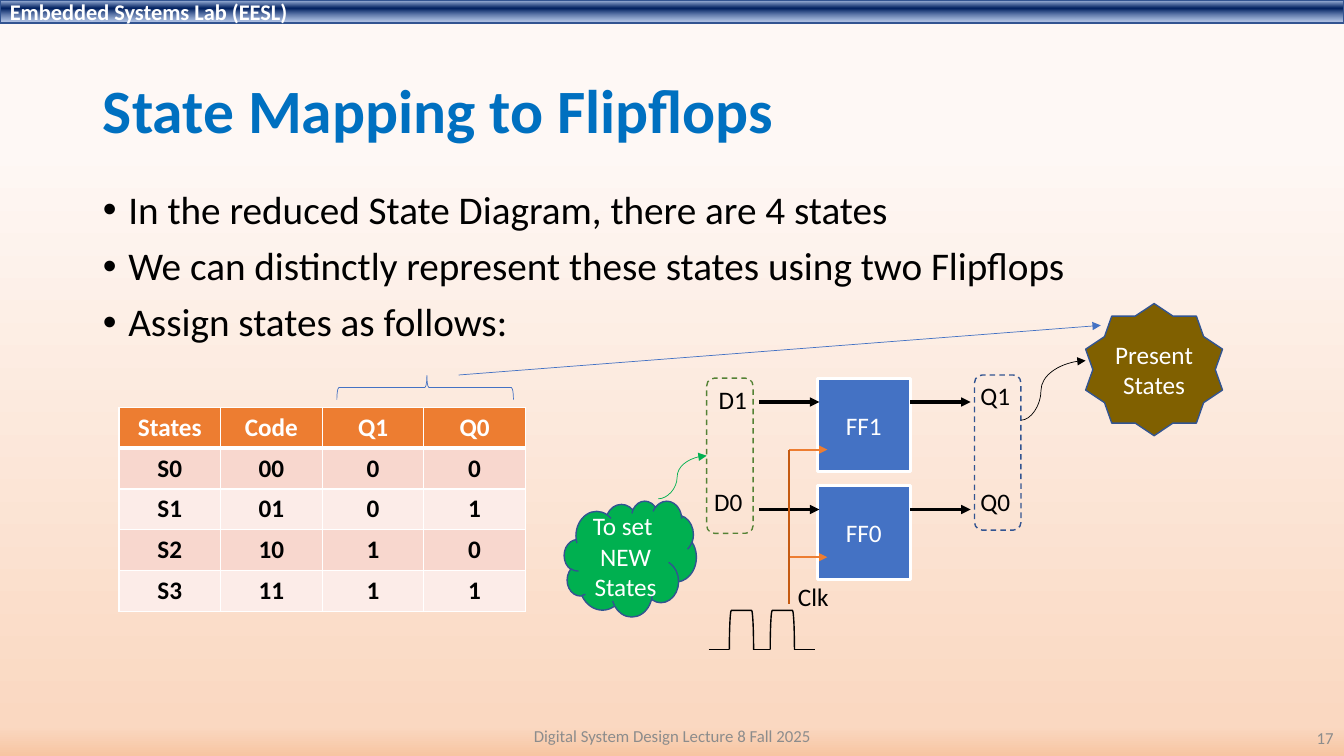
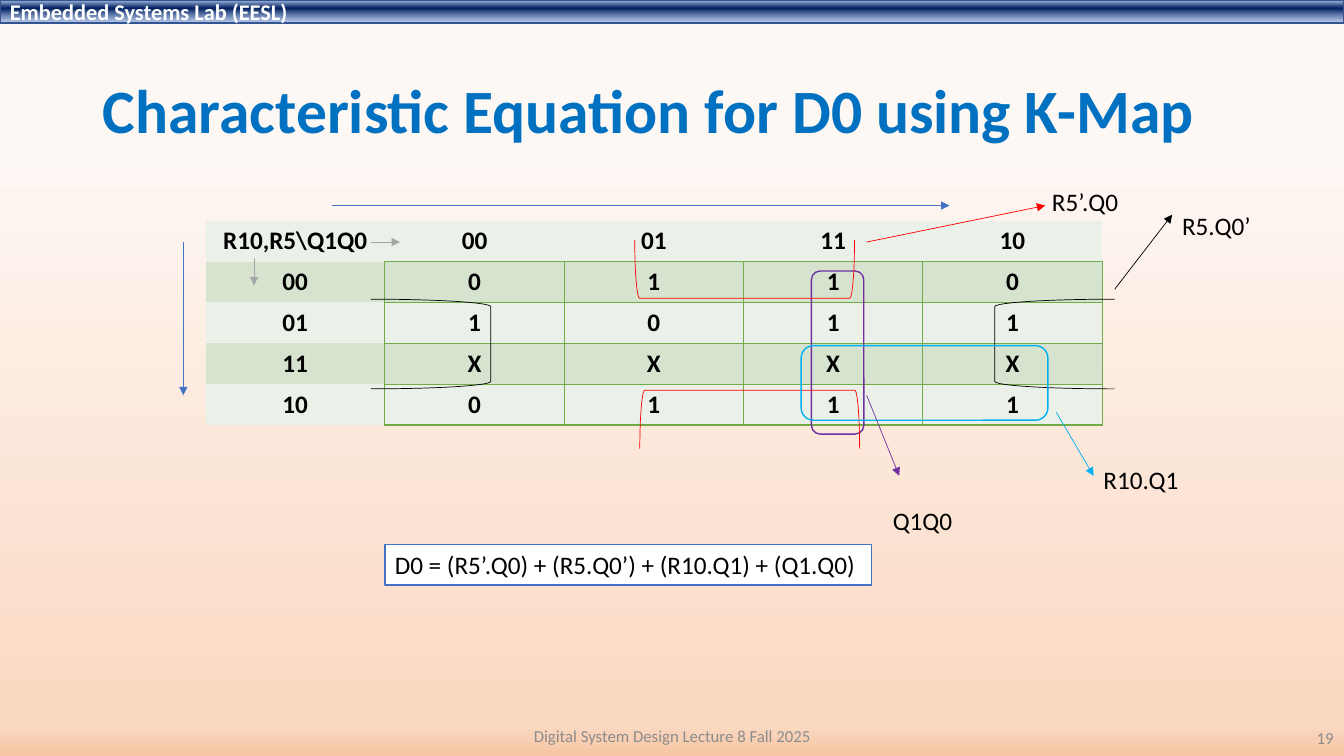
from lxml.etree import SubElement
from pptx import Presentation
from pptx.dml.color import RGBColor
from pptx.enum.dml import MSO_LINE
from pptx.enum.shapes import MSO_CONNECTOR, MSO_SHAPE
from pptx.enum.text import MSO_ANCHOR, MSO_AUTO_SIZE, PP_ALIGN
from pptx.oxml.ns import qn
from pptx.util import Cm, Pt

FONT = "Calibri"
BLACK = RGBColor(0x00, 0x00, 0x00)
WHITE = RGBColor(0xFF, 0xFF, 0xFF)
GREY_TEXT = RGBColor(0x8C, 0x8C, 0x8C)
GREY = RGBColor(0xA5, 0xA5, 0xA5)
TITLE_BLUE = RGBColor(0x00, 0x70, 0xC0)
BLUE = RGBColor(0x44, 0x72, 0xC4)
DARK_BLUE = RGBColor(0x32, 0x54, 0x91)
SKY = RGBColor(0x00, 0xB0, 0xF0)
ORANGE = RGBColor(0xED, 0x7D, 0x31)
DARK_ORANGE = RGBColor(0xC5, 0x5A, 0x11)
PEACH = RGBColor(0xF8, 0xD7, 0xCE)
PALE_PEACH = RGBColor(0xFC, 0xEC, 0xE8)
GREEN = RGBColor(0x00, 0xB0, 0x50)
DARK_GREEN = RGBColor(0x54, 0x82, 0x35)
GRID_GREEN = RGBColor(0x70, 0xAD, 0x47)
SAGE = RGBColor(0xD5, 0xE3, 0xCF)
PALE_SAGE = RGBColor(0xEB, 0xF1, 0xE9)
OLIVE = RGBColor(0x80, 0x60, 0x00)
PURPLE = RGBColor(0x70, 0x30, 0xA0)
RED = RGBColor(0xFF, 0x00, 0x00)

BACKGROUND_STOPS = [
    (19, RGBColor(0xFE, 0xF8, 0xF5), 97),
    (96, RGBColor(0xFA, 0xD8, 0xC1), 100),
    (100, RGBColor(0xF7, 0xC5, 0xA2), 100),
]
BAND_STOPS = [
    (2, RGBColor(0xAB, 0xC0, 0xE4), 100),
    (38, RGBColor(0x00, 0x20, 0x60), 100),
    (93, RGBColor(0x7E, 0x9E, 0xD6), 64),
]
NO_GRID_STYLE = "{2D5ABB26-0587-4C30-8999-92F81FD0307C}"
ROW_HEIGHT = 1.03
LABEL_HEIGHT = 1.02
THIN = 0.5


def place(shape, left, top, width, height):
    shape.left, shape.top = Cm(left), Cm(top)
    shape.width, shape.height = Cm(width), Cm(height)


def add_run(paragraph, text, size, color, bold=False):
    run = paragraph.add_run()
    run.text = text
    run.font.name = FONT
    run.font.size = Pt(size)
    run.font.bold = bold
    run.font.color.rgb = color


def write_lines(frame, lines, size, color, align=PP_ALIGN.LEFT, bold=False):
    for index, text in enumerate(lines):
        paragraph = frame.add_paragraph() if index else frame.paragraphs[0]
        paragraph.alignment = align
        add_run(paragraph, text, size, color, bold)


def set_gradient(fill, element, stops):
    fill.gradient()
    fill.gradient_angle = 270
    stop_list = element.xpath(".//a:gradFill/a:gsLst")[0]
    for stop in list(stop_list):
        stop_list.remove(stop)
    for position, color, opacity in stops:
        stop = SubElement(stop_list, qn("a:gs"), pos=str(position * 1000))
        value = SubElement(stop, qn("a:srgbClr"), val=str(color))
        if opacity < 100:
            SubElement(value, qn("a:alpha"), val=str(opacity * 1000))


def add_figure(slide, kind, box, line, width=1, fill=None, lines=(), rotation=0):
    shape = slide.shapes.add_shape(kind, *map(Cm, box))
    shape.shadow.inherit = False
    shape.rotation = rotation
    shape.line.color.rgb = line
    shape.line.width = Pt(width)
    if fill is None:
        shape.fill.background()
    else:
        shape.fill.solid()
        shape.fill.fore_color.rgb = fill
    if lines:
        shape.text_frame.vertical_anchor = MSO_ANCHOR.MIDDLE
        write_lines(shape.text_frame, lines, 18, WHITE, PP_ALIGN.CENTER)
    return shape


def add_line(slide, start, end, color, width=THIN, arrow=True, bend=None):
    kind = MSO_CONNECTOR.STRAIGHT if bend is None else MSO_CONNECTOR.CURVE
    connector = slide.shapes.add_connector(kind, *map(Cm, start + end))
    connector.line.color.rgb = color
    connector.line.width = Pt(width)
    if arrow:
        outline = connector.element.xpath(".//a:ln")[0]
        SubElement(outline, qn("a:tailEnd"), type="triangle")
    if bend is not None:
        adjustments = connector.element.xpath(".//a:avLst")[0]
        SubElement(adjustments, qn("a:gd"), name="adj1", fmla=f"val {round(bend * 100000)}")
    SubElement(connector.element.spPr, qn("a:effectLst"))
    return connector


def add_label(slide, text, left, top, width):
    label = slide.shapes.add_textbox(Cm(left), Cm(top), Cm(width), Cm(LABEL_HEIGHT))
    label.text_frame.word_wrap = False
    label.text_frame.auto_size = MSO_AUTO_SIZE.SHAPE_TO_FIT_TEXT
    write_lines(label.text_frame, [text], 18, BLACK)
    return label


def add_border(cell, side, color, width):
    properties = cell._tc.get_or_add_tcPr()
    line = SubElement(properties, qn(f"a:ln{side}"), w=str(Pt(width)))
    fill = SubElement(line, qn("a:solidFill"))
    SubElement(fill, qn("a:srgbClr"), val=str(color))


def add_grid(slide, left, top, column_width, rows, fills, header_color, border_color, border_widths):
    header_fill, odd_fill, even_fill = fills
    columns = len(rows[0])
    frame = slide.shapes.add_table(
        len(rows), columns, Cm(left), Cm(top), Cm(column_width * columns), Cm(ROW_HEIGHT * len(rows))
    )
    table = frame.table
    table.first_row = table.horz_banding = False
    frame.element.xpath(".//a:tableStyleId")[0].text = NO_GRID_STYLE
    for column in table.columns:
        column.width = Cm(column_width)
    for row_index, texts in enumerate(rows):
        table.rows[row_index].height = Cm(ROW_HEIGHT)
        for column_index, text in enumerate(texts):
            cell = table.cell(row_index, column_index)
            for side, width in border_widths(row_index, column_index).items():
                add_border(cell, side, border_color, width)
            cell.fill.solid()
            if row_index == 0:
                cell.fill.fore_color.rgb = header_fill
            else:
                cell.fill.fore_color.rgb = odd_fill if row_index % 2 else even_fill
            color = BLACK if row_index else header_color
            write_lines(cell.text_frame, [text], 18, color, PP_ALIGN.CENTER, True)


def state_borders(row, column):
    return {"L": 1, "R": 1, "T": 3 if row == 1 else 1, "B": 1 if row else 3}


def map_borders(row, column):
    if row and column:
        return {"L": 1, "R": 1, "T": 1, "B": 1}
    if column:
        return {"B": 1}
    return {"R": 1} if row else {}


def add_footer(slide, text, box, align):
    footer = slide.shapes.add_textbox(*map(Cm, box))
    footer.text_frame.word_wrap = True
    footer.text_frame.vertical_anchor = MSO_ANCHOR.MIDDLE
    write_lines(footer.text_frame, [text], 12, GREY_TEXT, align)


def add_slide(presentation, layout_index, title_text, number):
    slide = presentation.slides.add_slide(presentation.slide_layouts[layout_index])
    title = slide.shapes.title
    place(title, 2.34, 1.02, 29.21, 3.68)
    title.text_frame.vertical_anchor = MSO_ANCHOR.MIDDLE
    title.text_frame.auto_size = MSO_AUTO_SIZE.NONE
    write_lines(title.text_frame, [title_text], 44, TITLE_BLUE, bold=True)
    title.text_frame.paragraphs[0].line_spacing = 0.9
    add_footer(slide, "Digital System Design Lecture 8 Fall 2025", (11.23, 18.03, 11.43, 1.02), PP_ALIGN.CENTER)
    add_footer(slide, str(number), (26.24, 18.08, 7.62, 1.02), PP_ALIGN.RIGHT)
    return slide


def style_master(presentation, slide):
    master = presentation.slide_master
    set_gradient(master.background.fill, master.element, BACKGROUND_STOPS)
    band = add_figure(slide, MSO_SHAPE.RECTANGLE, (0, 0, 33.87, 0.58), DARK_BLUE)
    set_gradient(band.fill, band.element, BAND_STOPS)
    band.text_frame.vertical_anchor = MSO_ANCHOR.MIDDLE
    write_lines(band.text_frame, ["Embedded Systems Lab (EESL)"], 16, WHITE, bold=True)
    band.element.xpath(".//p:cNvPr")[0].set("id", "100")
    master.shapes.element.insert(2, band.element)


def fill_bullets(body, items):
    place(body, 2.34, 4.67, 29.21, 4.45)
    body.text_frame.auto_size = MSO_AUTO_SIZE.NONE
    write_lines(body.text_frame, items, 28, BLACK)
    for index, paragraph in enumerate(body.text_frame.paragraphs):
        paragraph.line_spacing = 0.9
        paragraph.space_before = Pt(10 if index else 0)
        properties = paragraph._p.get_or_add_pPr()
        properties.set("marL", str(Cm(0.64)))
        properties.set("indent", str(-Cm(0.64)))
        SubElement(properties, qn("a:buFont"), typeface="Arial")
        SubElement(properties, qn("a:buChar"), char="•")


def draw_flipflops(slide):
    for index, bit in enumerate("10"):
        top = 9.53 + 2.71 * index
        wire = top + 0.6
        clock = top + 1.8
        add_figure(slide, MSO_SHAPE.RECTANGLE, (20.6, top, 2.34, 2.36), WHITE, 2.25, BLUE, [f"FF{bit}"])
        add_line(slide, (19.13, wire), (20.65, wire), BLACK, 2.25)
        add_line(slide, (22.94, wire), (24.46, wire), BLACK, 2.25)
        add_line(slide, (19.89, clock), (20.85, clock), ORANGE, 1.5)
    add_line(slide, (19.89, 11.33), (19.89, 15.21), DARK_ORANGE, 1.5, arrow=False)
    for text, left, top in [
        ("Clk", 19.86, 14.53),
        ("D1", 17.86, 9.55),
        ("D0", 17.75, 12.14),
        ("Q1", 24.46, 9.47),
        ("Q0", 24.46, 12.14),
    ]:
        add_label(slide, text, left, top, 1.4)
    outputs = add_figure(slide, MSO_SHAPE.ROUNDED_RECTANGLE, (24.56, 9.45, 1.17, 3.91), DARK_BLUE)
    inputs = add_figure(slide, MSO_SHAPE.ROUNDED_RECTANGLE, (17.81, 9.53, 1.17, 3.91), DARK_GREEN)
    for group in (outputs, inputs):
        group.line.dash_style = MSO_LINE.DASH
    add_line(slide, (25.73, 10.59), (27.36, 9.09), BLACK, bend=0.31)
    set_arrow = add_line(slide, (16.59, 12.57), (17.81, 11.48), GREEN, bend=0.39)
    set_arrow.end_connect(inputs, 1)
    add_figure(slide, MSO_SHAPE.CLOUD, (14.22, 12.62, 3.33, 2.92), DARK_BLUE, 1, GREEN, ["To set ", "NEW", "States"])
    add_figure(slide, MSO_SHAPE.STAR_10_POINT, (27.36, 7.65, 3.45, 3.33), DARK_BLUE, 1, OLIVE, ["Present", "States"])


def draw_clock_pulses(slide):
    for left in (18.19, 19.22):
        add_figure(slide, MSO_SHAPE.LEFT_BRACKET, (left, 15.57, 0.99, 0.61), BLACK, rotation=90)
    for start, end in [(17.86, 18.38), (18.98, 19.41), (20.02, 20.55)]:
        add_line(slide, (start, 16.37), (end, 16.37), BLACK, 1, arrow=False)


def build_state_mapping(slide):
    fill_bullets(slide.placeholders[1], [
        "In the reduced State Diagram, there are 4 states",
        "We can distinctly represent these states using two Flipflops",
        "Assign states as follows:",
    ])
    rows = [["States", "Code", "Q1", "Q0"]]
    rows += [[f"S{state}", f"{state:02b}", *f"{state:02b}"] for state in range(4)]
    add_grid(slide, 3, 10.26, 2.56, rows, (ORANGE, PEACH, PALE_PEACH), WHITE, WHITE, state_borders)
    brace = add_figure(slide, MSO_SHAPE.RIGHT_BRACE, (10.41, 7.54, 0.61, 4.45), BLUE, THIN, rotation=270)
    brace.adjustments[1] = 0.51
    draw_flipflops(slide)
    add_line(slide, (11.56, 9.45), (27.74, 8.2), BLUE)
    draw_clock_pulses(slide)


def build_karnaugh_map(slide):
    rows = [
        ["R10,R5\\Q1Q0", "00", "01", "11", "10"],
        ["00", "0", "1", "1", "0"],
        ["01", "1", "0", "1", "1"],
        ["11", "X", "X", "X", "X"],
        ["10", "0", "1", "1", "1"],
    ]
    add_grid(slide, 5.18, 5.56, 4.52, rows, (PALE_SAGE, SAGE, PALE_SAGE), BLACK, GRID_GREEN, map_borders)
    for kind, box, color, width, rotation in [
        (MSO_SHAPE.RIGHT_BRACKET, (9.35, 7.54, 3.02, 2.26), BLACK, THIN, 0),
        (MSO_SHAPE.LEFT_BRACKET, (25.07, 7.54, 3.02, 2.26), BLACK, THIN, 0),
        (MSO_SHAPE.ROUNDED_RECTANGLE, (20.45, 6.83, 1.32, 4.11), PURPLE, 1, 0),
        (MSO_SHAPE.RIGHT_BRACKET, (18.16, 7.8, 1.47, 5.54), RED, THIN, 270),
        (MSO_SHAPE.RIGHT_BRACKET, (18.03, 4.01, 1.47, 5.54), RED, THIN, 90),
        (MSO_SHAPE.ROUNDED_RECTANGLE, (20.19, 8.71, 6.22, 1.88), SKY, 1, 0),
    ]:
        add_figure(slide, kind, box, color, width, rotation=rotation)
    for start, end, color in [
        ((4.62, 6.1), (4.62, 9.96), BLUE),
        ((8.36, 5.18), (23.93, 5.18), BLUE),
        ((9.35, 6.1), (10.08, 6.1), GREY),
        ((6.4, 6.5), (6.4, 7.19), GREY),
        ((21.84, 6.1), (26.34, 5.18), RED),
        ((28.09, 7.29), (29.54, 5.41), BLACK),
        ((26.62, 10.39), (27.56, 11.99), SKY),
        ((21.84, 9.96), (22.66, 11.99), PURPLE),
    ]:
        add_line(slide, start, end, color)
    for text, left, top, width in [
        ("R5’.Q0", 26.26, 4.57, 2.18),
        ("R5.Q0’", 29.54, 5.18, 2.26),
        ("R10.Q1", 27.56, 11.58, 2.41),
        ("Q1Q0", 22.25, 12.6, 2.03),
    ]:
        add_label(slide, text, left, top, width)
    equation = add_label(slide, "D0 = (R5’.Q0) + (R5.Q0’) + (R10.Q1) + (Q1.Q0)", 9.7, 13.72, 12.27)
    equation.fill.solid()
    equation.fill.fore_color.rgb = WHITE
    equation.line.color.rgb = BLUE
    equation.line.width = Pt(1)


def main():
    presentation = Presentation()
    presentation.slide_width, presentation.slide_height = Cm(33.87), Cm(19.05)
    mapping = add_slide(presentation, 1, "State Mapping to Flipflops", 17)
    style_master(presentation, mapping)
    build_state_mapping(mapping)
    build_karnaugh_map(add_slide(presentation, 5, "Characteristic Equation for D0 using K-Map", 19))
    presentation.save("out.pptx")


if __name__ == "__main__":
    main()
